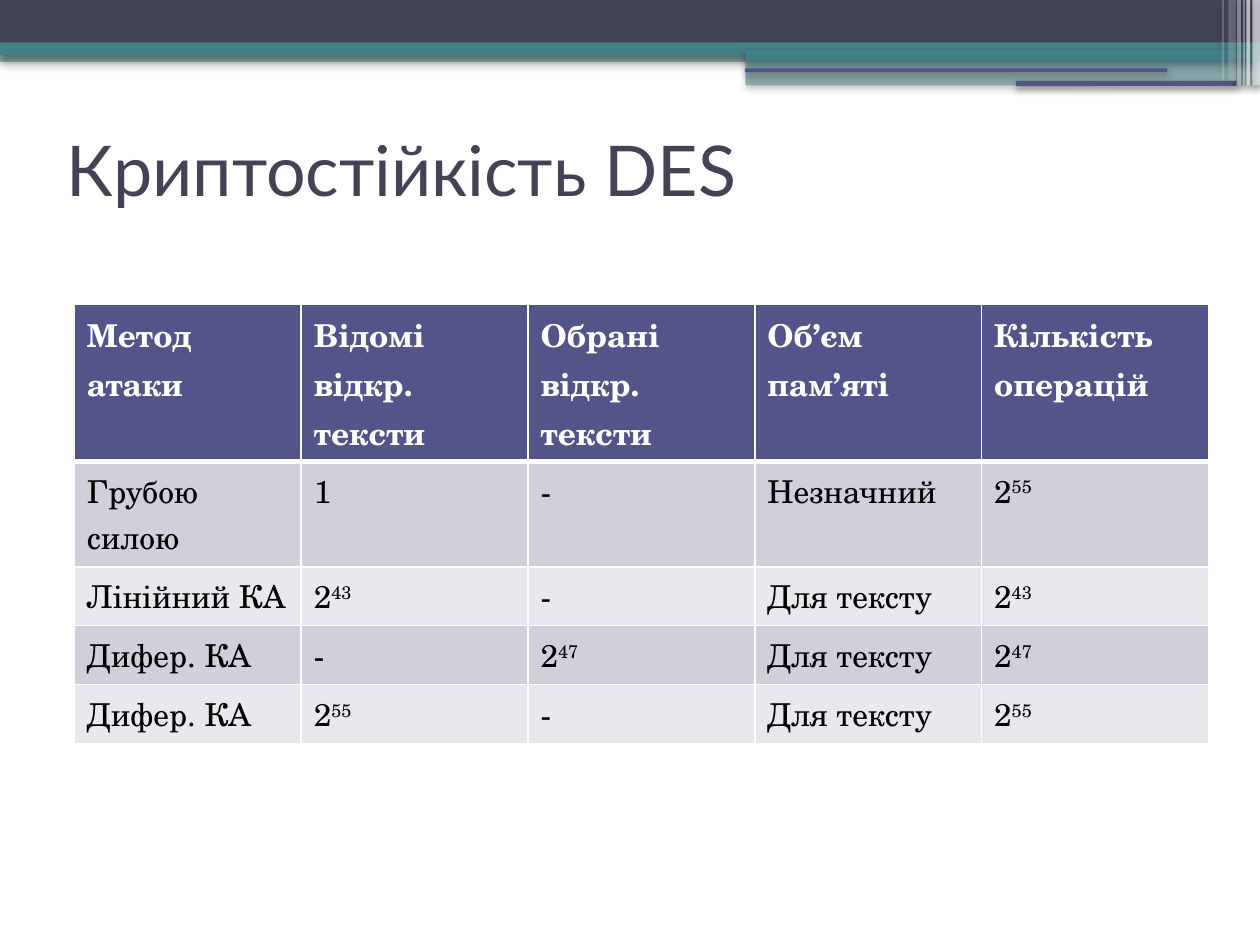
"""Build a slide on the cryptographic strength of DES."""
import pptx
import pptx.dml.color
import pptx.enum.shapes
import pptx.enum.text
import pptx.oxml.ns
import pptx.util
from lxml import etree

Pt = pptx.util.Pt
qn = pptx.oxml.ns.qn
RECT = pptx.enum.shapes.MSO_SHAPE.RECTANGLE
ROUND = pptx.enum.shapes.MSO_SHAPE.ROUNDED_RECTANGLE

HUES = {"dark": "424456", "teal": "438086", "blue": "53548A", "white": "FFFFFF",
        "black": "000000", "odd": "D0D0DA", "even": "E9E9ED"}
BODY = "TeX Gyre Schola"
TITLE = "Криптостійкість DES"
HEAD = ["Метод атаки", "Відомі відкр. тексти", "Обрані відкр. тексти",
        "Об’єм пам’яті", "Кількість операцій"]
ROWS = [
    ["Грубою силою", "1", "-", "Незначний", ("2", "55")],
    ["Лінійний КА", ("2", "43"), "-", "Для тексту", ("2", "43")],
    ["Дифер. КА", "-", ("2", "47"), "Для тексту", ("2", "47")],
    ["Дифер. КА", ("2", "55"), "-", "Для тексту", ("2", "55")],
]
HIGH = [89.7, 60.3, 33.7, 33.7, 33.7]
WIDE = 129.6
BARS = [
    (RECT, 0, 28.8, 720, 6.6, "teal", 50),
    (RECT, 0, 0, 720, 24.5, "dark", 100),
    (RECT, 0, 24.2, 720, 7.2, "teal", 100),
    (RECT, 426, 28.4, 294, 7.2, "teal", 100),
    (RECT, 426, 34.6, 294, 14.2, "teal", 50),
    (ROUND, 425.7, 39.1, 241.2, 2.2, "blue", 100),
    (ROUND, 580.5, 46.3, 126, 2.9, "blue", 100),
    (RECT, 715.7, 0, 4.3, 48.8, "white", 66),
    (RECT, 712.3, 0, 2.1, 48.8, "white", 66),
    (RECT, 710.5, 0, 0.7, 48.8, "white", 60),
    (RECT, 707, 0, 2.1, 48.8, "white", 40),
    (RECT, 702, 0, 4.3, 46.1, "white", 20),
    (RECT, 698.5, 0, 0.7, 46.1, "white", 31),
]


def tint(fill, hue):
    fill.solid()
    fill.fore_color.rgb = pptx.dml.color.RGBColor.from_string(HUES[hue])


def node(base, tag, **attrs):
    return etree.SubElement(base, qn(tag), {k: str(v) for k, v in attrs.items()})


def write(frame, text, font=BODY, size=18, hue="black", bold=False):
    frame.word_wrap = True
    parts = (text,) if isinstance(text, str) else text
    for i, part in enumerate(parts):
        run = frame.paragraphs[0].add_run()
        run.text = part
        run.font.name, run.font.size, run.font.bold = font, Pt(size), bold
        tint(run.font.fill, hue)
        if i:
            run.font._element.set("baseline", "30000")


def draw_bar(slide, kind, x, y, w, h, hue, alpha):
    bar = slide.shapes.add_shape(kind, Pt(x), Pt(y), Pt(w), Pt(h))
    tint(bar.fill, hue)
    bar.line.fill.background()
    bar.shadow.inherit = False
    props = bar._element.spPr
    if alpha < 100:
        node(props.find(".//" + qn("a:srgbClr")), "a:alpha", val=alpha * 1000)
    shade = node(props.find(qn("a:effectLst")), "a:outerShdw", blurRad=Pt(4.1),
                 dist=Pt(2), dir=5400000, algn="ctr", rotWithShape=0)
    node(node(shade, "a:srgbClr", val=HUES["black"]), "a:alpha", val=40000)


def edge(cell, top, low):
    props = cell._tc.get_or_add_tcPr()
    for side, size in zip("LRTB", (0.96, 0.96, top, low)):
        line = node(props, "a:ln" + side, w=Pt(size))
        node(node(line, "a:solidFill"), "a:srgbClr", val=HUES["white"])


def draw_table(slide):
    data = [HEAD] + ROWS
    grid = slide.shapes.add_table(len(data), len(HEAD), Pt(42.5), Pt(173.9),
                                  Pt(WIDE * len(HEAD)), Pt(sum(HIGH))).table
    for col in grid.columns:
        col.width = Pt(WIDE)
    for r, row in enumerate(data):
        grid.rows[r].height = Pt(HIGH[r])
        for c, text in enumerate(row):
            cell = grid.cell(r, c)
            edge(cell, 3 if r == 1 else 0.96, 3 if r == 0 else 0.96)
            tint(cell.fill, "blue" if r == 0 else "odd" if r % 2 else "even")
            write(cell.text_frame, text, hue="black" if r else "white", bold=r == 0)


def main():
    deck = pptx.Presentation()
    deck.slide_width, deck.slide_height = Pt(720), Pt(540)
    slide = deck.slides.add_slide(deck.slide_layouts[6])
    for bar in BARS:
        draw_bar(slide, *bar)
    title = slide.shapes.add_textbox(Pt(31.2), Pt(54.4), Pt(648), Pt(84.2)).text_frame
    title.vertical_anchor = pptx.enum.text.MSO_ANCHOR.MIDDLE
    write(title, TITLE, font="Lato", size=40, hue="dark")
    draw_table(slide)
    deck.save("out.pptx")


if __name__ == "__main__":
    main()
